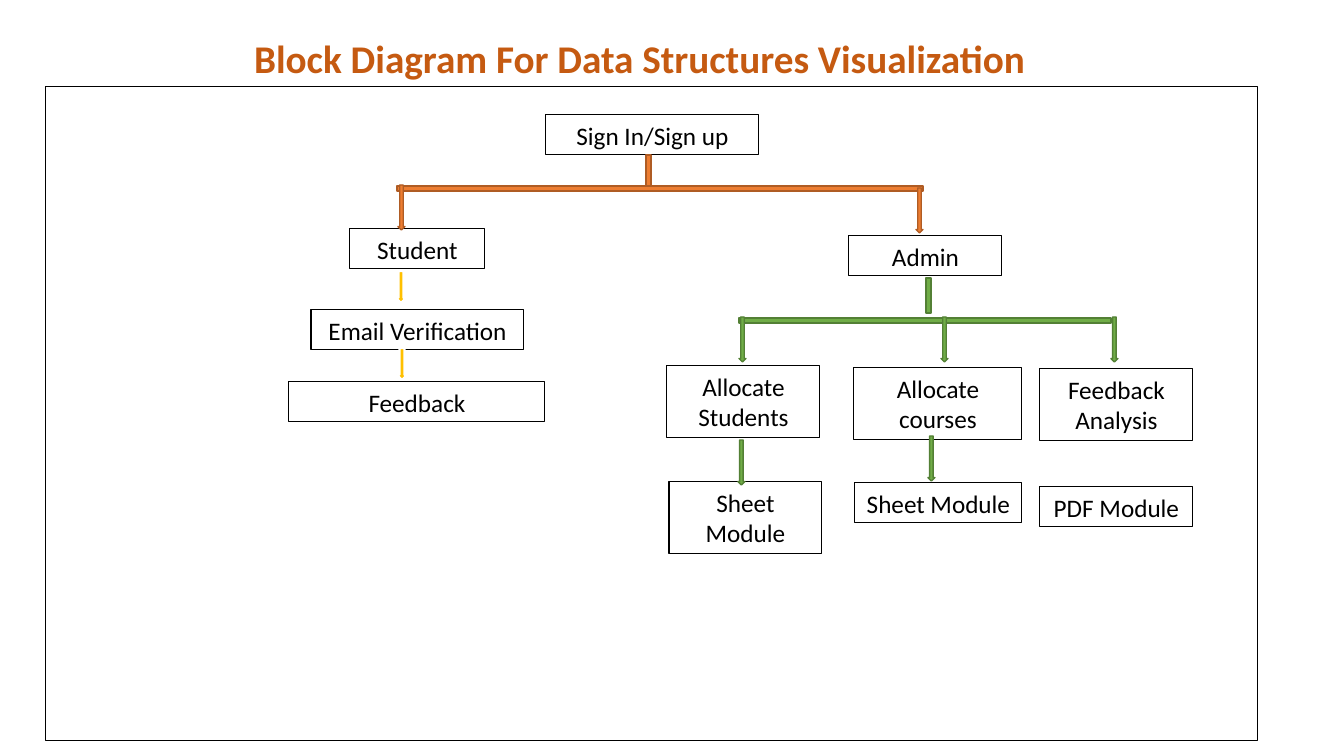
import pptx
import pptx.util
import pptx.dml.color
import pptx.enum.shapes
import pptx.enum.text

KIND = pptx.enum.shapes.MSO_SHAPE
ALIGN = pptx.enum.text.PP_ALIGN
ANCHOR = pptx.enum.text.MSO_ANCHOR
PIXEL = 914400 / 100.8
ORANGE = ("ED7D31", "AF5C24", 1)
GREEN = ("70AD47", "538035", 1)
YELLOW = ("FFC000", "FFFFFF", 1.5)
PLAIN = (None, "000000", 0.75)


def px(count):
    """Turn pixels into EMU."""
    return pptx.util.Emu(round(count * PIXEL))


def color(code):
    """Turn a hex string into a colour."""
    return pptx.dml.color.RGBColor.from_string(code)


def style(para, size, code, bold=False):
    """Centre a paragraph and set its font."""
    para.alignment = ALIGN.CENTER
    para.font.name = "Calibri"
    para.font.size = pptx.util.Pt(size)
    para.font.bold = bold
    para.font.color.rgb = color(code)


def draw(slide, kind, box, look):
    """Add a preset shape with a (fill, line, width) look."""
    shape = slide.shapes.add_shape(kind, *map(px, box))
    shape.shadow.inherit = False
    fill, line, width = look
    if fill:
        shape.fill.solid()
        shape.fill.fore_color.rgb = color(fill)
    else:
        shape.fill.background()
    shape.line.color.rgb = color(line)
    shape.line.width = pptx.util.Pt(width)
    return shape


def label(slide, text, left, top, width, height=40):
    """Add an outlined box with centred text."""
    shape = draw(slide, KIND.RECTANGLE, (left, top, width, height), PLAIN)
    frame = shape.text_frame
    frame.word_wrap = True
    frame.vertical_anchor = ANCHOR.TOP
    frame.text = text
    style(frame.paragraphs[0], 18, "000000")


def arrow(slide, left, top, look, width=7, height=45):
    """Add a thin block arrow that points down."""
    draw(slide, KIND.DOWN_ARROW, (left, top, width, height), look)


def fork(slide, stem, rail, look):
    """Add a stem at (left, top) and a rail of (left, top, width)."""
    draw(slide, KIND.RECTANGLE, (*stem, 5, 35), look)
    draw(slide, KIND.RECTANGLE, (*rail, 5), look)


def heading(slide, box):
    """Format the title placeholder."""
    title = slide.shapes.title
    title.left, title.top, title.width, title.height = map(px, box)
    frame = title.text_frame
    frame.text = "Block Diagram For Data Structures Visualization"
    frame.vertical_anchor = ANCHOR.BOTTOM
    para = frame.paragraphs[0]
    para.line_spacing = 0.9
    style(para, 28, "C55A11", True)


def student(slide, x, y):
    """Draw the student chain."""
    label(slide, "Student", x + 61, y, 135)
    label(slide, "Email Verification", x + 22, y + 81, 213)
    label(slide, "Feedback", x, y + 153, 256)
    for left, top in ((107, 42), (108, 119)):
        arrow(slide, x + left, y + top, YELLOW, 10, 32)


def admin(slide, x, y):
    """Draw the admin branch with its three columns."""
    label(slide, "Admin", x + 182, y, 153)
    fork(slide, (x + 259, y + 42), (x + 72, y + 82, 372), GREEN)
    tasks = (
        ("Allocate Students", 0, 130, 153, 72),
        ("Allocate courses", 187, 132, 168, 72),
        ("Feedback Analysis", 373, 133, 153, 72),
        ("Sheet Module", 2, 246, 153, 72),
        ("Sheet Module", 188, 247, 167, 40),
        ("PDF Module", 373, 251, 153, 40),
    )
    for text, left, top, width, height in tasks:
        label(slide, text, x + left, y + top, width, height)
    for left, top in ((72, 81), (274, 81), (444, 81), (71, 204), (261, 200)):
        arrow(slide, x + left, y + top, GREEN)


def entry(slide, x, y):
    """Draw the sign-in box and the fork below it."""
    label(slide, "Sign In/Sign up", x + 149, y, 213)
    fork(slide, (x + 249, y + 40), (x, y + 71, 526), ORANGE)
    for left, top in ((1, 70), (519, 73)):
        arrow(slide, x + left, y + top, ORANGE)


def main():
    """Build and save the slide."""
    deck = pptx.Presentation()
    deck.slide_width, deck.slide_height = px(1344), px(756)
    slide = deck.slides.add_slide(deck.slide_layouts[5])
    heading(slide, (170, 12, 939, 75))
    draw(slide, KIND.RECTANGLE, (46, 87, 1212, 654), PLAIN)
    student(slide, 289, 229)
    admin(slide, 667, 236)
    entry(slide, 397, 115)
    deck.save("out.pptx")


main()
